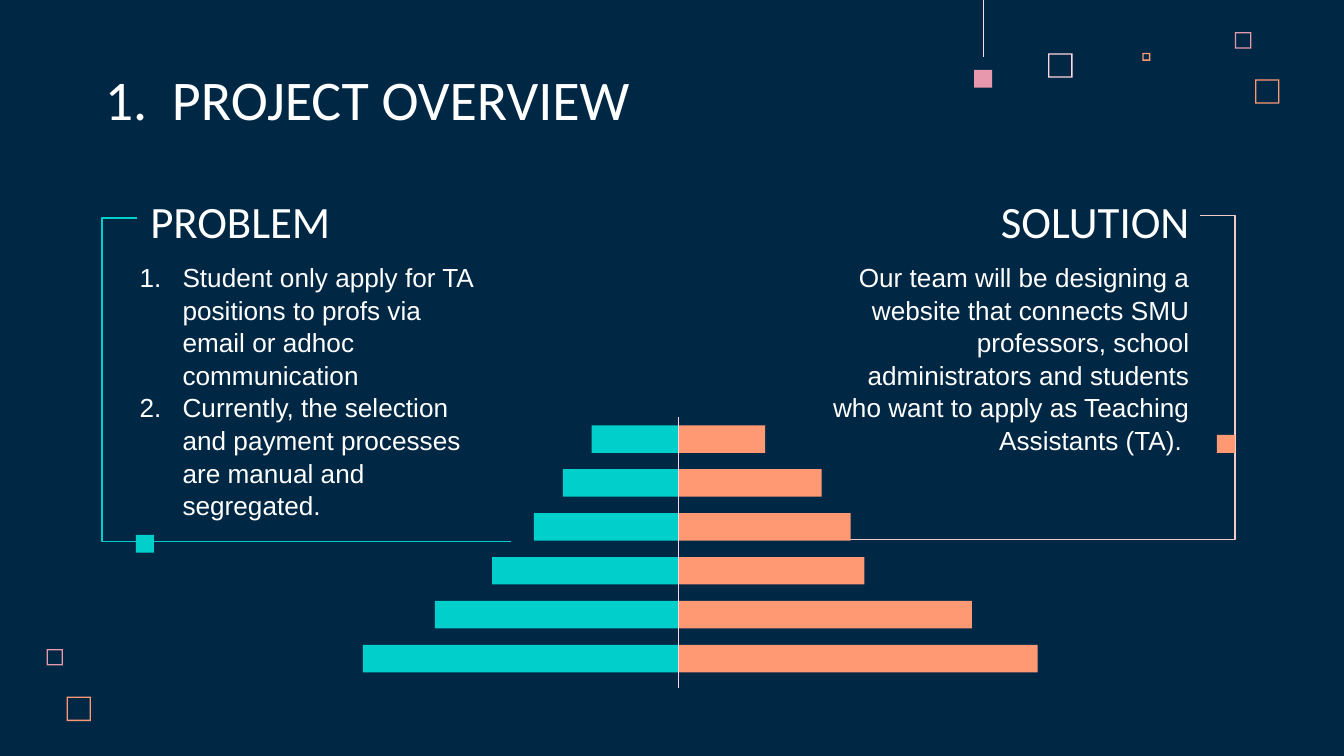
from lxml.etree import SubElement
from pptx import Presentation
from pptx.dml.color import RGBColor
from pptx.enum.shapes import MSO_CONNECTOR, MSO_SHAPE
from pptx.enum.text import MSO_ANCHOR, MSO_AUTO_SIZE, PP_ALIGN
from pptx.oxml.ns import qn
from pptx.util import Cm, Pt

THEME = {
    "navy": RGBColor(0x00, 0x28, 0x45),
    "white": RGBColor(0xFF, 0xFF, 0xFF),
    "teal": RGBColor(0x00, 0xCF, 0xCC),
    "orange": RGBColor(0xFF, 0x99, 0x73),
    "rose": RGBColor(0xE8, 0x98, 0xAC),
    "blush": RGBColor(0xFF, 0xD6, 0xE1),
    "pale": RGBColor(0xF4, 0xCC, 0xCC),
    "title": Pt(30), "heading": Pt(24), "body": Pt(14), "line": Pt(0.75),
}

prs = Presentation()
prs.slide_width, prs.slide_height = Cm(25.4), Cm(14.29)
slide = prs.slides.add_slide(prs.slide_layouts.get_by_name("Comparison"))
slide.background.fill.solid()
slide.background.fill.fore_color.rgb = THEME["navy"]


def add_block(kind, left, top, width, height, color):
    block = slide.shapes.add_shape(kind, Cm(left), Cm(top), Cm(width), Cm(height))
    block.shadow.inherit = False
    block.fill.solid()
    block.fill.fore_color.rgb = THEME[color]
    block.line.fill.background()
    return block


def add_line(kind, start_x, start_y, end_x, end_y, color):
    line = slide.shapes.add_connector(kind, Cm(start_x), Cm(start_y), Cm(end_x), Cm(end_y))
    line.line.color.rgb = THEME[color]
    line.line.width = THEME["line"]
    SubElement(line._element.spPr, qn("a:effectLst"))
    return line


# Title, headings and body text
LEFT, RIGHT = PP_ALIGN.LEFT, PP_ALIGN.RIGHT
problems = ["Student only apply for TA positions to profs via email or adhoc communication",
            "Currently, the selection and payment processes are manual and segregated."]
solution = ["Our team will be designing a website that connects SMU professors, school "
            "administrators and students who want to apply as Teaching Assistants (TA). "]
# placeholder, box, texts, size, font, alignment, hanging indent of numbers
texts = [
    (0, (1.73, 1.14, 17.09, 1.6), ["PROJECT OVERVIEW"], "title", "Calibri", LEFT, 1.27),
    (1, (2.59, 3.33, 5.28, 1.6), ["PROBLEM"], "heading", "Calibri", LEFT, 0),
    (2, (1.93, 4.67, 7.29, 5.44), problems, "body", "Arial", LEFT, 0.81),
    (3, (17.45, 3.33, 5.28, 1.6), ["SOLUTION"], "heading", "Calibri", RIGHT, 0),
    (4, (15.14, 4.67, 7.59, 4.22), solution, "body", "Arial", RIGHT, 0),
]
for index, box, lines, size, font_name, alignment, hanging in texts:
    holder = slide.placeholders[index]
    holder.left, holder.top, holder.width, holder.height = map(Cm, box)
    frame = holder.text_frame
    frame.text = "\n".join(lines)
    frame_format = {
        "word_wrap": True, "auto_size": MSO_AUTO_SIZE.NONE,
        "vertical_anchor": MSO_ANCHOR.TOP if size == "body" else MSO_ANCHOR.BOTTOM,
        "margin_left": Cm(0.25), "margin_right": Cm(0.25),
        "margin_top": Cm(0.25), "margin_bottom": Cm(0.25),
    }
    for key, value in frame_format.items():
        setattr(frame, key, value)
    for paragraph in frame.paragraphs:
        properties = paragraph._p.get_or_add_pPr()
        properties.set("marL", str(Cm(1.27) if hanging else 0))
        properties.set("indent", str(-Cm(hanging)))
        if hanging:
            SubElement(properties, qn("a:buFont"), typeface=font_name)
            SubElement(properties, qn("a:buAutoNum"), type="arabicPeriod")
        else:
            SubElement(properties, qn("a:buNone"))
        paragraph.alignment = alignment
        paragraph.space_before = Pt(0)
        paragraph.line_spacing = 1.04 if size == "body" else 1.0
        font = paragraph.runs[0].font
        for key, value in {"name": font_name, "size": THEME[size], "bold": False}.items():
            setattr(font, key, value)
        font.color.rgb = THEME["white"]

# Scattered hollow squares
for left, top, side, color in [
    (19.81, 1.01, 0.46, "blush"), (23.34, 0.61, 0.31, "rose"), (21.59, 1.0, 0.15, "orange"),
    (23.72, 1.5, 0.46, "orange"), (0.88, 12.27, 0.31, "rose"), (1.26, 13.17, 0.46, "orange"),
]:
    square = add_block(MSO_SHAPE.FRAME, left, top, side, side, color)
    square.adjustments[0] = 0.025 / side

# Hanging pendant
pendant_cord = add_line(MSO_CONNECTOR.STRAIGHT, 18.59, 0, 18.59, 1.08, "blush")
pendant_cord.line.width = Pt(0.5)

# Brackets around the two texts
for start_x, start_y, end_x, end_y, color in [
    (2.59, 4.12, 9.65, 10.24, "teal"), (22.68, 4.08, 15.62, 10.2, "pale"),
]:
    bracket = add_line(MSO_CONNECTOR.ELBOW, start_x, start_y, end_x, end_y, color)
    guides = bracket._element.spPr.find(qn("a:prstGeom")).get_or_add_avLst()
    SubElement(guides, qn("a:gd"), name="adj1", fmla="val -9400")

# Solid squares on the pendant and the brackets
for left, top, color in [(18.41, 1.32, "rose"), (2.57, 10.11, "teal"), (23.0, 8.22, "orange")]:
    add_block(MSO_SHAPE.RECTANGLE, left, top, 0.34, 0.34, color)

# Pyramid of paired bars
axis_x, first_top, pitch, bar_height = 12.82, 8.04, 0.83, 0.52
bar_widths = [(1.64, 1.64), (2.18, 2.71), (2.73, 3.26), (3.52, 3.52), (4.6, 5.55), (5.96, 6.79)]
for row, (teal_width, orange_width) in enumerate(bar_widths):
    top = first_top + row * pitch
    add_block(MSO_SHAPE.RECTANGLE, axis_x, top, orange_width, bar_height, "orange")
    add_block(MSO_SHAPE.RECTANGLE, axis_x - teal_width, top, teal_width, bar_height, "teal")
add_line(MSO_CONNECTOR.STRAIGHT, axis_x, 7.88, axis_x, 13.0, "blush")

prs.save("out.pptx")
